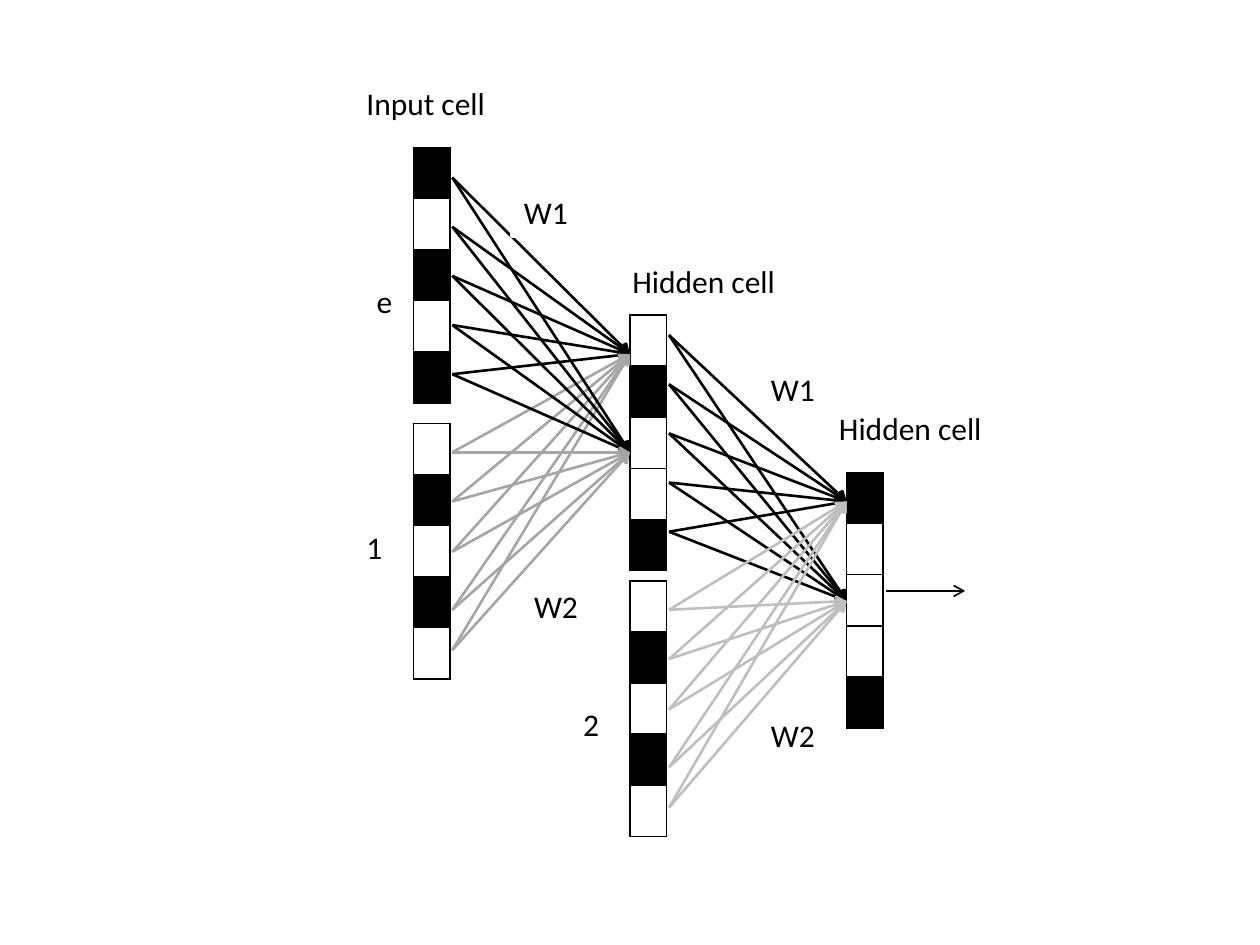
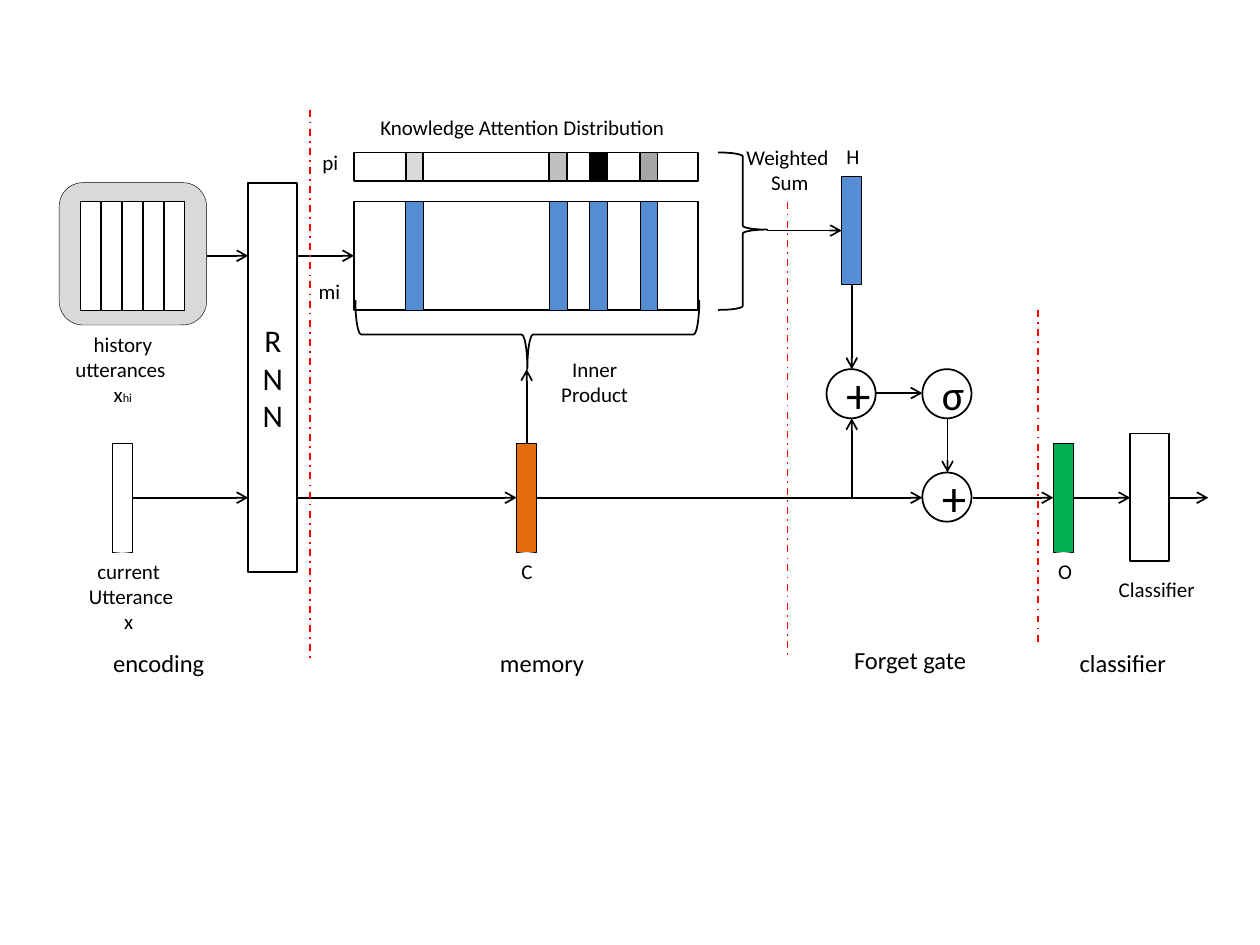
from dataclasses import dataclass
from typing import Any
from lxml.etree import SubElement
from pptx import Presentation
from pptx.dml.color import RGBColor
from pptx.enum.dml import MSO_LINE
from pptx.enum.shapes import MSO_CONNECTOR, MSO_SHAPE
from pptx.enum.text import MSO_ANCHOR, MSO_AUTO_SIZE, PP_ALIGN
from pptx.oxml.ns import qn
from pptx.util import Inches, Pt

COLORS = {
    "ink": "000000", "paper": "FFFFFF", "mist": "D9D9D9", "silver": "BFBFBF",
    "grey": "A6A6A6", "blue": "558ED5", "orange": "E46C0A", "green": "00B050",
    "red": "FF0000",
}
FONT = "Calibri"
COLUMNS, ROWS = 100, 75
THIN, LINE, BOLD = 0.25, 1, 1.5
BAR_W, BAR_H, GATE_SIZE = 1.6, 8.6, 3.9
TOP_FLOW, LOW_FLOW, LOW_BAR = 11.6, 30.8, 26.5

prs = Presentation()
prs.slide_width, prs.slide_height = Inches(10), Inches(7.5)


def rgb(name):
    return RGBColor.from_string(COLORS[name])


def col(n):
    return round(prs.slide_width * n / COLUMNS)


def row(n):
    return round(prs.slide_height * n / ROWS)


def write(sp, paragraphs, size, align, anchor):
    tf = sp.text_frame
    tf.vertical_anchor = anchor
    for i, runs in enumerate(paragraphs):
        p = tf.paragraphs[0] if i == 0 else tf.add_paragraph()
        p.alignment = align
        for text, run_size in runs:
            if text == "\n":
                p.add_line_break()
                continue
            r = p.add_run()
            r.text = text
            r.font.name = FONT
            r.font.size = Pt(run_size or size)
            r.font.color.rgb = rgb("ink")


@dataclass
class Region:
    shapes: Any
    x: float = 0
    y: float = 0

    def place(self, x, y, w, h):
        return col(self.x + x), row(self.y + y), col(w), row(h)

    def shape(self, x, y, w, h, fill="paper", weight=LINE, kind=MSO_SHAPE.RECTANGLE,
              line="ink", text=None, size=18):
        sp = self.shapes.add_shape(kind, *self.place(x, y, w, h))
        sp.shadow.inherit = False
        if fill:
            sp.fill.solid()
            sp.fill.fore_color.rgb = rgb(fill)
        else:
            sp.fill.background()
        sp.line.color.rgb = rgb(line)
        sp.line.width = Pt(weight)
        if text:
            write(sp, [[(text, size)]], size, PP_ALIGN.CENTER, MSO_ANCHOR.MIDDLE)
        return sp

    def bar(self, x, y, fill="paper"):
        return self.shape(x, y, BAR_W, BAR_H, fill, THIN)

    def gate(self, x, y, sign, size):
        self.shape(x, y, GATE_SIZE, GATE_SIZE, kind=MSO_SHAPE.OVAL, text=sign, size=size)

    def label(self, x, y, w, h, *paragraphs, size=12, center=False, wrap=False, framed=False):
        if framed:
            sp = self.shape(x, y, w, h, None, BOLD, line="paper")
        else:
            sp = self.shapes.add_textbox(*self.place(x, y, w, h))
        sp.text_frame.word_wrap = wrap
        sp.text_frame.auto_size = MSO_AUTO_SIZE.SHAPE_TO_FIT_TEXT
        runs = [[(p, size)] if isinstance(p, str) else p for p in paragraphs]
        write(sp, runs, size, PP_ALIGN.CENTER if center else PP_ALIGN.LEFT, MSO_ANCHOR.TOP)

    def line(self, x1, y1, x2, y2, color="ink", weight=LINE, arrow=True):
        cx = self.shapes.add_connector(
            MSO_CONNECTOR.STRAIGHT, col(self.x + x1), row(self.y + y1),
            col(self.x + x2), row(self.y + y2))
        cx.line.color.rgb = rgb(color)
        cx.line.width = Pt(weight)
        if arrow:
            SubElement(cx.line._get_or_add_ln(), qn("a:tailEnd"), type="arrow")
        else:
            cx.line.dash_style = MSO_LINE.DASH_DOT
        SubElement(cx._element.spPr, qn("a:effectLst"))

    def divider(self, top, bottom):
        self.line(0, top, 0, bottom, "red", arrow=False)

    def cells(self, x, y, pattern):
        w, h = 2.9, 20
        table = self.shapes.add_table(len(pattern), 1, *self.place(x, y, w, h)).table
        table.first_row = table.horz_banding = False
        for i, mark in enumerate(pattern):
            cell = table.cell(i, 0)
            tc_pr = cell._tc.get_or_add_tcPr()
            for side in ("lnL", "lnR", "lnT", "lnB"):
                ln = SubElement(tc_pr, qn("a:" + side), w=str(Pt(LINE)))
                fill = SubElement(ln, qn("a:solidFill"))
                SubElement(fill, qn("a:srgbClr"), val=COLORS["ink"])
            if mark == "#":
                cell.fill.solid()
                cell.fill.fore_color.rgb = rgb("ink")
            else:
                cell.fill.background()


def weights(region, target, lower_color):
    upper = [3.9 * i for i in range(5)]
    lower = [21.8, 25.7, 29.7, 34.3, 37.5]
    for starts, color in ((upper, "ink"), (lower, lower_color)):
        for start in starts:
            region.line(0, start, 14.1, target, color, BOLD)


def network(shapes):
    page = Region(shapes)
    first, second = Region(shapes, 35.9, 14.1), Region(shapes, 53.1, 26.6)
    for x, y, pattern in ((32.8, 11.7, "#.#.#"), (32.8, 33.6, ".#.#."),
                          (50, 25, ".#..#"), (50, 46.1, ".#.#."),
                          (67.2, 37.5, "#...#")):
        page.cells(x, y, pattern)
    weights(first, 14, "grey")
    weights(second, 21.1, "silver")
    for x, y, w, text in ((28.1, 6.2, 11.6, "Input cell"), (49.2, 20.3, 13.5, "Hidden cell"),
                          (65.6, 32, 13.5, "Hidden cell"), (28.9, 21.9, 3.3, "e"),
                          (28.1, 41.4, 3.3, "1")):
        page.label(x, y, w, 4, text, size=18)
    for x, y, text in ((40.6, 14.8, "W1"), (41.4, 46.1, "W2"),
                       (60.2, 28.9, "W1"), (60.2, 56.3, "W2")):
        page.label(x, y, 6.3, 4, text, size=18, wrap=True, framed=True)
    page.label(45.3, 55.5, 3.3, 4, "2", size=18, framed=True)
    page.line(70.3, 46.9, 76.6, 46.9)
    weights(first, 21.8, "grey")
    weights(second, 13.2, "silver")


def encoding(region):
    region.shape(4.7, 5.8, 11.7, 11.3, "mist", THIN, MSO_SHAPE.ROUNDED_RECTANGLE)
    for i in range(5):
        region.bar(6.4 + 1.66 * i, 7.3)
    region.shape(19.7, 5.8, 3.9, 30.9, text="RNN")
    region.bar(8.9, LOW_BAR)
    region.line(16.4, TOP_FLOW, 19.7, TOP_FLOW)
    region.line(10.5, LOW_FLOW, 19.7, LOW_FLOW)
    region.label(4.9, 17.1, 9.7, 7.1, [("history", 12), ("\n", 12), ("utterances ", 12)],
                 [("x", 12), ("hi", 7)], center=True)
    region.label(6, 35.1, 8.8, 7.1, "current ", "Utterance", "x ", center=True)
    region.label(8, 42.2, 9.3, 3.4, "encoding", size=14)


def memory(region):
    left, width = 3.5, 27.3
    region.shape(left, 3.4, width, 2.3)
    region.shape(left, 7.3, width, BAR_H)
    for offset, shade in ((4.1, "mist"), (15.5, "silver"), (18.7, "ink"), (22.7, "grey")):
        region.shape(left + offset, 3.4, 1.4, 2.3, shade)
        region.shape(left + offset, 7.3, 1.4, BAR_H, "blue", THIN)
    brace = region.shape(32.4, 3.4, 3.9, 12.5, None, kind=MSO_SHAPE.RIGHT_BRACE)
    brace.adjustments[0], brace.adjustments[1] = 0.08, 0.49
    region.shape(14.5, 4.2, 5.5, width, None, kind=MSO_SHAPE.RIGHT_BRACE).rotation = 90
    region.bar(16.4, LOW_BAR, "orange")
    region.line(-1, TOP_FLOW, left, TOP_FLOW)
    region.line(-1, LOW_FLOW, 16.4, LOW_FLOW)
    region.line(17.2, LOW_BAR, 17.2, 20.6)
    region.divider(0, 43.6)
    region.label(4.6, -0.1, 25.2, 3, "Knowledge Attention Distribution ")
    region.label(0, 2.7, 3.8, 3, "pi", wrap=True)
    region.label(-0.3, 12.9, 3.8, 3, "mi", wrap=True)
    region.label(15.8, 35.1, 2.7, 3, "C", wrap=True)
    region.label(18.9, 19.1, 7.4, 5, "Inner", "Product", center=True)
    region.label(33.6, 2.3, 8.6, 5, "Weighted", " Sum", center=True)
    region.label(14.1, 42.2, 8.7, 3.4, "memory", size=14)


def forget_gate(region):
    region.divider(7.3, 43.6)
    region.bar(4.3, 5.3, "blue")
    region.gate(3.1, 20.6, "+", 28)
    region.gate(10.7, 20.6, "σ", 24)
    region.gate(10.7, 28.8, "+", 28)
    for ends in ((-1.6, 9.6, 4.3, 9.6), (5.1, 13.9, 5.1, 20.6),
                 (5.1, LOW_FLOW, 5.1, 24.5), (7, 22.5, 10.7, 22.5),
                 (12.7, 24.5, 12.7, 28.8), (-19.9, LOW_FLOW, 10.7, LOW_FLOW),
                 (14.7, LOW_FLOW, 21.1, LOW_FLOW)):
        region.line(*ends)
    region.label(3.7, 2.2, 2.7, 3, "H", wrap=True)
    region.label(4.3, 42, 11, 3.4, "Forget gate", size=14)


def classifier(region):
    region.divider(15.9, 42.4)
    region.shape(7.3, 25.7, 3.1, 10.1)
    region.bar(1.2, LOW_BAR, "green")
    region.line(2.8, LOW_FLOW, 7.3, LOW_FLOW)
    region.line(10.4, LOW_FLOW, 13.5, LOW_FLOW)
    region.label(0.6, 35.1, 2.7, 3, "O", wrap=True)
    region.label(5.4, 36.6, 8.1, 3, "Classifier")
    region.label(2.3, 42.2, 9, 3.4, "classifier", size=14)


def architecture(shapes):
    for left, draw in ((0, encoding), (24.6, memory), (62.5, forget_gate), (82.4, classifier)):
        draw(Region(shapes, left, 8.7))


for build in (network, architecture):
    s = prs.slides.add_slide(prs.slide_layouts[6])
    build(s.shapes)

prs.save("out.pptx")
